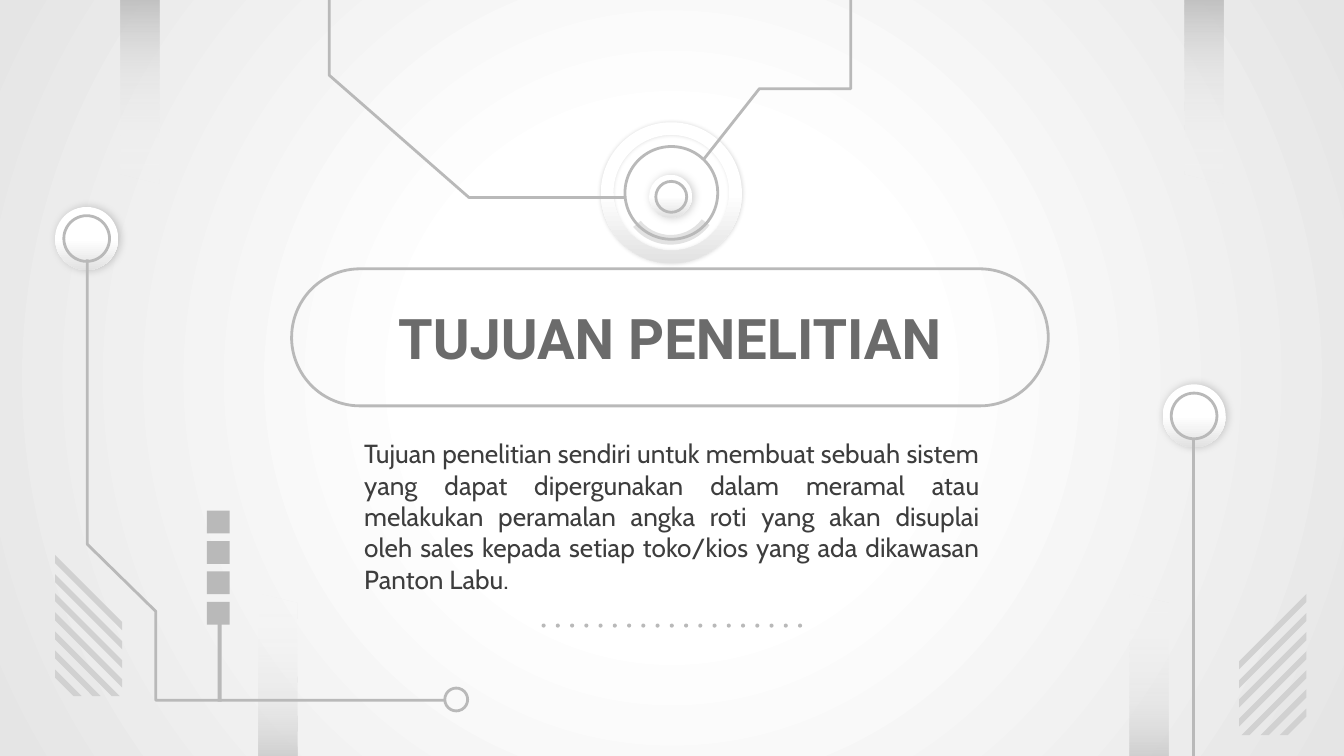
import lxml.etree
import pptx
import pptx.dml.color
import pptx.enum.shapes
import pptx.enum.text
import pptx.oxml
import pptx.oxml.ns
import pptx.util

Inches = pptx.util.Inches
Kind = pptx.enum.shapes.MSO_SHAPE
Align = pptx.enum.text.PP_ALIGN

GREY = "B9B9B9"
STRIPE = "D1D1D1"
PALE = "E2E2E2"
BEAM = [(0, GREY, 100), (43, "DCDCDC", 42), (100, "FFFFFF", 0)]
DISC = [(0, "FFFFFF", 100), (50, "FFFFFF", 100), (100, PALE, 100)]
BACKDROP = [(0, "FFFFFF", 100), (32, "FFFFFF", 100), (100, "E5E5E5", 100)]
RADIAL = '<a:path path="circle"><a:fillToRect l="50000" t="50000" r="50000" b="50000"/></a:path>'


def colour(value):
    return pptx.dml.color.RGBColor.from_string(value)


def set_gradient(fill, holder, stops, angle=None):
    fill.solid()
    marks = "".join(
        f'<a:gs pos="{position * 1000}"><a:srgbClr val="{value}">'
        f'<a:alpha val="{opacity * 1000}"/></a:srgbClr></a:gs>'
        for position, value, opacity in stops
    )
    direction = RADIAL if angle is None else f'<a:lin ang="{angle * 60000}" scaled="0"/>'
    gradient = pptx.oxml.parse_xml(
        f'<a:gradFill {pptx.oxml.ns.nsdecls("a")} rotWithShape="1">'
        f"<a:gsLst>{marks}</a:gsLst>{direction}</a:gradFill>"
    )
    holder.replace(holder.find(pptx.oxml.ns.qn("a:solidFill")), gradient)


def set_shadow(shape, opacity, blur, distance):
    effects = shape._element.spPr.find(pptx.oxml.ns.qn("a:effectLst"))
    shadow = lxml.etree.SubElement(
        effects,
        pptx.oxml.ns.qn("a:outerShdw"),
        blurRad=str(pptx.util.Pt(blur)),
        dist=str(pptx.util.Pt(distance)),
        dir="0",
        algn="ctr",
        rotWithShape="0",
    )
    black = lxml.etree.SubElement(shadow, pptx.oxml.ns.qn("a:srgbClr"), val="000000")
    lxml.etree.SubElement(black, pptx.oxml.ns.qn("a:alpha"), val=str(opacity * 1000))


def set_line(line, value):
    line.color.rgb = colour(value)
    line.width = pptx.util.Pt(1.5)


def paint(shape, fill=None, line=None):
    shape.shadow.inherit = False
    if fill:
        shape.fill.solid()
        shape.fill.fore_color.rgb = colour(fill)
    else:
        shape.fill.background()
    if line:
        set_line(shape.line, line)
    else:
        shape.line.fill.background()


def add_preset(page, kind, at, fill=None, line=None, adjust=(), rotation=0):
    shape = page.shapes.add_shape(kind, *map(Inches, at))
    for index, value in enumerate(adjust):
        shape.adjustments[index] = value
    shape.rotation = rotation
    paint(shape, fill, line)
    return shape


def add_outline(page, points, fill=None, line=None):
    corners = [(Inches(x), Inches(y)) for x, y in points]
    builder = page.shapes.build_freeform(*corners[0])
    builder.add_line_segments(corners[1:], close=fill is not None)
    paint(builder.convert_to_shape(), fill, line)


def add_disc(page, left, top, size):
    disc = add_preset(page, Kind.OVAL, (left, top, size, size))
    set_gradient(disc.fill, disc._element.spPr, DISC, 90)
    set_shadow(disc, 19, 4.5, 0.8)


def add_ring(page, left, top, size):
    add_preset(page, Kind.OVAL, (left, top, size, size), line=GREY)


def add_node(page, left, top):
    add_disc(page, left, top, 0.47)
    add_ring(page, left + 0.065, top + 0.065, 0.34)


def add_beam(page, left, top, rotation):
    beam = add_preset(
        page, Kind.PARALLELOGRAM, (left, top, 1.46, 0.29), adjust=[0.25], rotation=rotation
    )
    set_gradient(beam.fill, beam._element.spPr, BEAM, 0)


def add_stripes(page, edge, top, direction):
    floor = top + 1.05
    for index in range(7):
        upper = top + 0.142 * index
        lower = upper + 0.06
        upper_reach = min(0.5, floor - upper)
        lower_reach = min(0.5, floor - lower)
        points = [
            (edge, upper),
            (edge, lower),
            (edge + direction * lower_reach, lower + lower_reach),
            (edge + direction * upper_reach, upper + upper_reach),
        ]
        add_outline(page, points, fill=STRIPE)


def add_hub(page):
    halo = add_preset(page, Kind.DONUT, (4.47, 0.91, 1.05, 1.05), adjust=[0.09])
    set_gradient(halo.fill, halo._element.spPr, DISC, 90)
    set_shadow(halo, 14, 2.2, 0)
    add_preset(
        page,
        Kind.BLOCK_ARC,
        (4.63, 1.1, 0.72, 0.72),
        fill=PALE,
        adjust=[108.12, 170.61, 0.1],
        rotation=216.3,
    )
    add_ring(page, 4.65, 1.09, 0.69)
    add_outline(page, [(4.65, 1.47), (3.49, 1.47), (2.45, 0.56), (2.45, 0)], line=GREY)
    add_outline(page, [(5.24, 1.18), (5.65, 0.66), (6.33, 0.66), (6.33, 0)], line=GREY)
    add_disc(page, 4.83, 1.3, 0.32)
    add_ring(page, 4.88, 1.35, 0.23)


def add_left_circuit(page):
    add_node(page, 0.41, 1.54)
    add_preset(page, Kind.RECTANGLE, (1.62, 4.6, 0.03, 0.62), fill=GREY)
    for index in range(4):
        add_preset(page, Kind.RECTANGLE, (1.54, 3.8 + 0.226 * index, 0.17, 0.17), fill=GREY)
    trace = [(0.65, 1.93), (0.65, 4.05), (1.16, 4.55), (1.16, 5.21), (3.31, 5.21)]
    add_outline(page, trace, line=GREY)
    add_ring(page, 3.31, 5.12, 0.17)
    add_stripes(page, 0.41, 4.13, 1)


def add_right_circuit(page, bottom):
    add_node(page, 8.65, 2.86)
    add_stripes(page, 9.72, 4.42, -1)
    wire = page.shapes.add_connector(
        pptx.enum.shapes.MSO_CONNECTOR.STRAIGHT,
        Inches(8.88), Inches(3.26), Inches(8.88), bottom,
    )
    set_line(wire.line, GREY)
    lxml.etree.SubElement(wire._element.spPr, pptx.oxml.ns.qn("a:effectLst"))


def write(box, text, at, font, size, value, align, bold=False):
    box.left, box.top, box.width, box.height = map(Inches, at)
    frame = box.text_frame
    frame.word_wrap = True
    frame.auto_size = pptx.enum.text.MSO_AUTO_SIZE.NONE
    frame.vertical_anchor = pptx.enum.text.MSO_ANCHOR.MIDDLE
    frame.margin_left = frame.margin_right = Inches(0.1)
    frame.margin_top = frame.margin_bottom = Inches(0.1)
    para = frame.paragraphs[0]
    para.alignment = align
    para.space_before = pptx.util.Pt(0)
    span = para.add_run()
    span.text = text
    span.font.name = font
    span.font.size = pptx.util.Pt(size)
    span.font.bold = bold
    span.font.color.rgb = colour(value)


def main():
    deck = pptx.Presentation()
    deck.slide_width = Inches(10)
    deck.slide_height = Inches(10) * 9 // 16
    page = deck.slides.add_slide(deck.slide_layouts[0])
    set_gradient(page.background.fill, page._element.cSld.bg.bgPr, BACKDROP)
    for left, top, rotation in [(0.31, 0.49, 90), (8.23, 0.49, 90), (7.82, 5, 270), (1.34, 5, 270)]:
        add_beam(page, left, top, rotation)
    add_preset(page, Kind.ROUNDED_RECTANGLE, (2.17, 2, 5.63, 1.02), line=GREY, adjust=[0.5])
    write(page.shapes.title, "TUJUAN PENELITIAN", (2.12, 2.05, 5.73, 0.92),
          font="Roboto", size=30, value="6B6B6B", align=Align.CENTER, bold=True)
    write(page.placeholders[1],
          "Tujuan penelitian sendiri untuk membuat sebuah sistem yang dapat dipergunakan "
          "dalam meramal atau melakukan peramalan angka roti yang akan disuplai oleh sales "
          "kepada setiap toko/kios yang ada dikawasan Panton Labu.",
          (2.61, 3.18, 4.78, 1.32), font="Cabin", size=14, value="3D3D3D", align=Align.JUSTIFY)
    for index in range(19):
        add_preset(page, Kind.OVAL, (4.03 + 0.106 * index, 4.64, 0.03, 0.03), fill=GREY)
    add_hub(page)
    add_left_circuit(page)
    add_right_circuit(page, deck.slide_height)
    deck.save("out.pptx")


if __name__ == "__main__":
    main()
